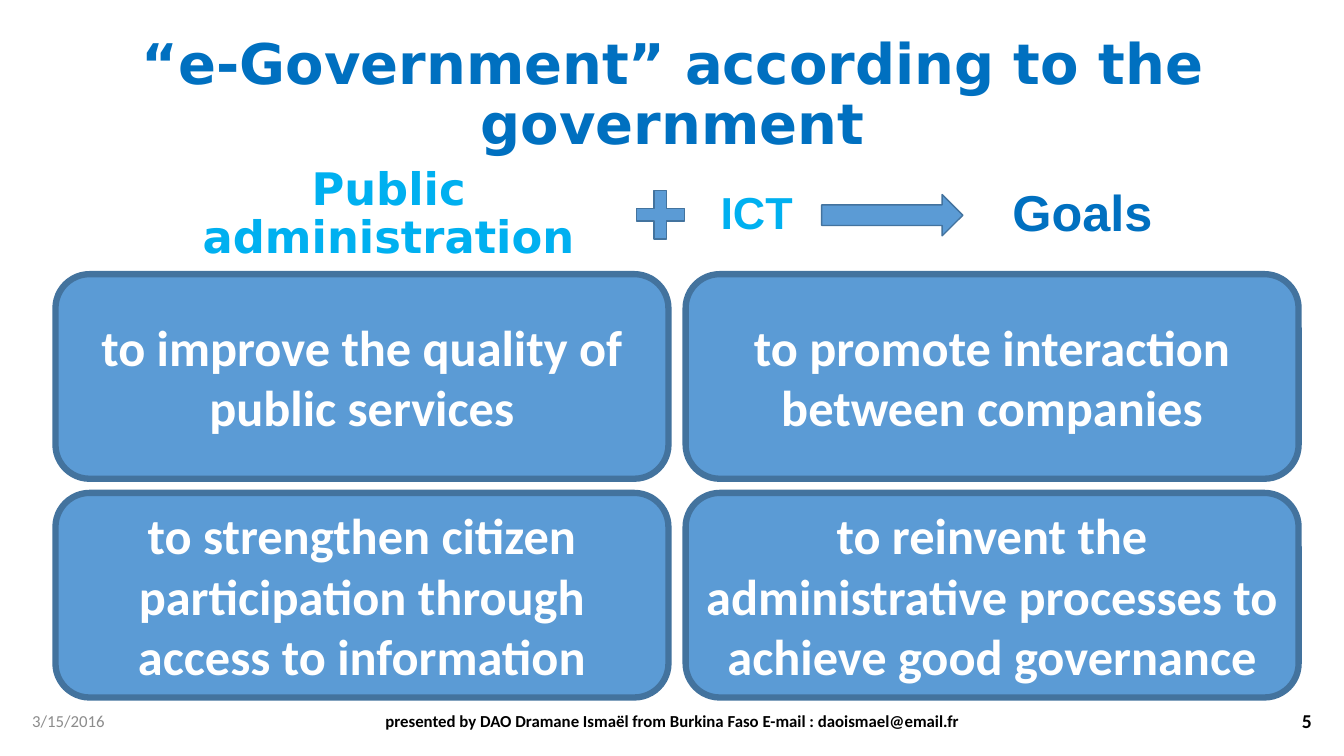
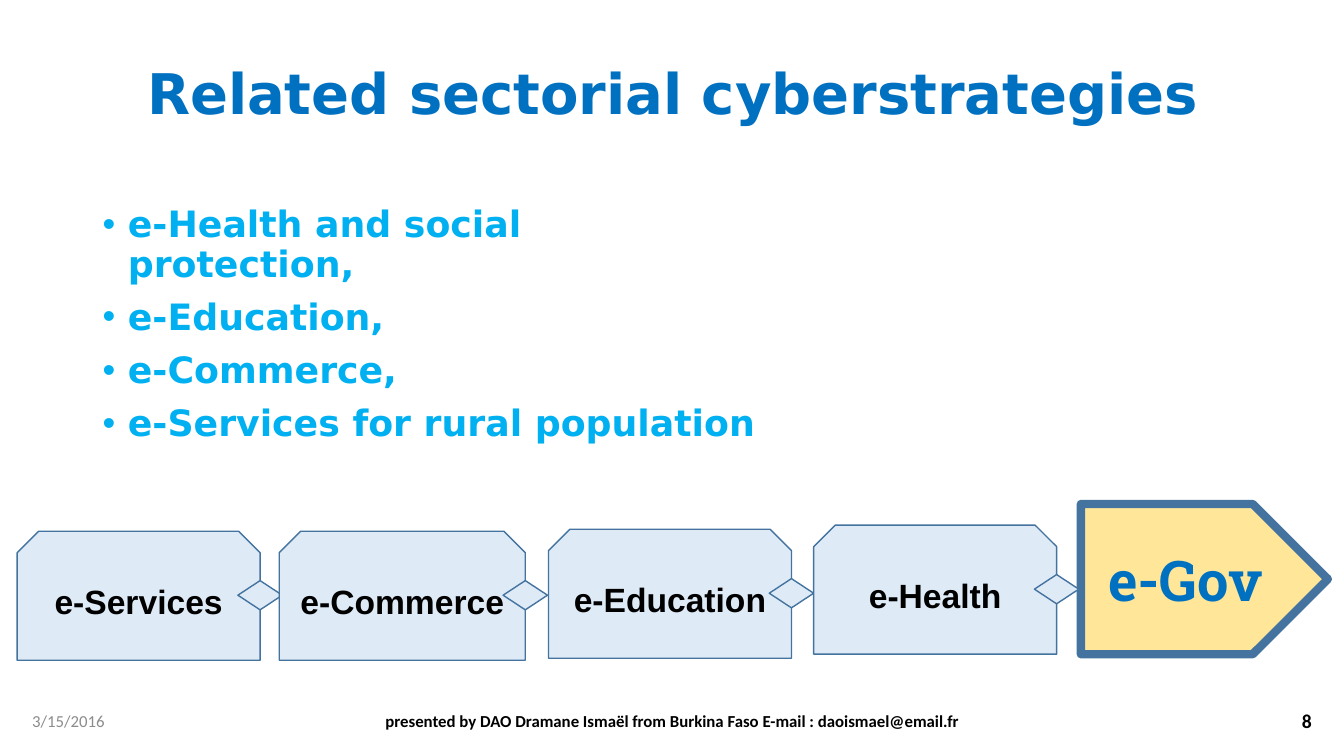
from dataclasses import dataclass, replace

from lxml.etree import SubElement
from pptx import Presentation
from pptx.dml.color import RGBColor
from pptx.enum.shapes import MSO_SHAPE
from pptx.enum.text import MSO_ANCHOR, MSO_AUTO_SIZE, PP_ALIGN
from pptx.oxml.ns import qn
from pptx.util import Inches, Pt

DEEP_BLUE = "0070C0"
SKY_BLUE = "00B0F0"
MID_BLUE = "5B9BD5"
EDGE_BLUE = "43739E"
PALE_BLUE = "DEEBF7"
SAND = "FFE699"
WHITE = "FFFFFF"
BLACK = "000000"
GREY = "8C8C8C"

PRESENTER = "presented by DAO Dramane Ismaël from Burkina Faso E-mail : daoismael@email.fr"
DATE = "3/15/2016"


@dataclass(frozen=True)
class Box:
    left: float
    top: float
    width: float
    height: float

    def lengths(self):
        return [Inches(side) for side in (self.left, self.top, self.width, self.height)]


@dataclass(frozen=True)
class TextStyle:
    size: float
    font: str
    color: str
    bold: bool = True
    align: PP_ALIGN = PP_ALIGN.CENTER
    anchor: MSO_ANCHOR = MSO_ANCHOR.MIDDLE
    spacing: float = 1.0
    before: float = 0
    bulleted: bool = False


@dataclass(frozen=True)
class Look:
    fill: str
    line_width: float


@dataclass(frozen=True)
class Sector:
    label: str
    left: float
    top: float
    width: float = 2.41


TITLE = TextStyle(40, "DejaVu Sans", DEEP_BLUE, spacing=0.9)
EQUATION = TextStyle(32, "Arial", SKY_BLUE, spacing=0.9, before=10)
ADMINISTRATION = replace(EQUATION, font="DejaVu Sans")
GOALS_HEADING = replace(EQUATION, size=36, color=DEEP_BLUE)
STRATEGY = replace(ADMINISTRATION, size=25.9, align=PP_ALIGN.LEFT,
                   anchor=MSO_ANCHOR.TOP, bulleted=True)
GOAL = TextStyle(36, "Calibri", WHITE)
SECTOR = TextStyle(24, "Arial", BLACK)
E_GOV = TextStyle(40, "Roboto Slab", DEEP_BLUE)
FOOTER = TextStyle(12, "Calibri", BLACK)
DATE_STYLE = replace(FOOTER, color=GREY, bold=False, align=PP_ALIGN.LEFT)
NUMBER_STYLE = replace(FOOTER, size=14, align=PP_ALIGN.RIGHT)

SYMBOL_LOOK = Look(MID_BLUE, 1)
GOAL_LOOK = Look(MID_BLUE, 4.5)
SECTOR_LOOK = Look(PALE_BLUE, 1)
E_GOV_LOOK = Look(SAND, 6)

TITLE_BOX = Box(0.92, 0.23, 11.5, 1.45)
FOOTER_TOP, FOOTER_HEIGHT = 6.95, 0.4

GOALS = [
    "to improve the quality of public services",
    "to promote interaction between companies",
    "to strengthen citizen participation through access to information",
    "to reinvent the administrative processes to achieve good governance",
]
STRATEGIES = [
    "e-Health and social protection,",
    "e-Education,",
    "e-Commerce,",
    "e-Services for rural population",
]
SECTORS = [
    Sector("e-Services", 0.17, 5.27),
    Sector("e-Commerce", 2.77, 5.27, 2.44),
    Sector("e-Education", 5.44, 5.25),
    Sector("e-Health", 8.07, 5.21),
]


def rgb(color: str) -> RGBColor:
    return RGBColor.from_string(color)


def add_bullet(paragraph) -> None:
    properties = paragraph._p.get_or_add_pPr()
    properties.set("marL", str(Inches(0.25)))
    properties.set("indent", str(Inches(-0.25)))
    SubElement(properties, qn("a:buFont")).set("typeface", "Arial")
    SubElement(properties, qn("a:buChar")).set("char", "•")


def write(frame, lines: list[str], style: TextStyle) -> None:
    frame.word_wrap = True
    frame.auto_size = MSO_AUTO_SIZE.NONE
    frame.vertical_anchor = style.anchor
    for index, line in enumerate(lines):
        paragraph = frame.add_paragraph() if index else frame.paragraphs[0]
        paragraph.alignment = style.align
        paragraph.line_spacing = style.spacing
        paragraph.space_before = Pt(style.before)
        if style.bulleted:
            add_bullet(paragraph)
        run = paragraph.add_run()
        run.text = line
        run.font.size = Pt(style.size)
        run.font.name = style.font
        run.font.bold = style.bold
        run.font.color.rgb = rgb(style.color)


def add_text(slide, box: Box, lines: list[str], style: TextStyle) -> None:
    write(slide.shapes.add_textbox(*box.lengths()).text_frame, lines, style)


def add_figure(shapes, kind: MSO_SHAPE, box: Box, look: Look,
               label: str = "", style: TextStyle = GOAL):
    figure = shapes.add_shape(kind, *box.lengths())
    figure.shadow.inherit = False
    figure.fill.solid()
    figure.fill.fore_color.rgb = rgb(look.fill)
    figure.line.color.rgb = rgb(EDGE_BLUE)
    figure.line.width = Pt(look.line_width)
    if label:
        write(figure.text_frame, [label], style)
    return figure


def start_slide(deck, title: str, number: int):
    slide = deck.slides.add_slide(deck.slide_layouts.get_by_name("Title Only"))
    heading = slide.shapes.title
    heading.left, heading.top, heading.width, heading.height = TITLE_BOX.lengths()
    write(heading.text_frame, [title], TITLE)
    for left, width, text, style in (
        (0.22, 3, DATE, DATE_STYLE),
        (3.43, 6.48, PRESENTER, FOOTER),
        (10.11, 3, str(number), NUMBER_STYLE),
    ):
        add_text(slide, Box(left, FOOTER_TOP, width, FOOTER_HEIGHT), [text], style)
    return slide


def add_sector(slide, sector: Sector) -> None:
    link = slide.shapes.add_group_shape()
    card = Box(sector.left, sector.top, sector.width, 1.28)
    joint = Box(sector.left + sector.width - 0.22, sector.top + 0.49, 0.44, 0.29)
    add_figure(link.shapes, MSO_SHAPE.SNIP_2_SAME_RECTANGLE, card,
               SECTOR_LOOK, sector.label, SECTOR)
    add_figure(link.shapes, MSO_SHAPE.DIAMOND, joint, SECTOR_LOOK)


def build_government_slide(deck) -> None:
    slide = start_slide(deck, "“e-Government” according to the government", 5)
    add_text(slide, Box(1.22, 1.88, 5.27, 0.51), ["Public administration"], ADMINISTRATION)
    plus = add_figure(slide.shapes, MSO_SHAPE.CROSS, Box(6.31, 1.89, 0.48, 0.48), SYMBOL_LOOK)
    plus.adjustments[0] = 0.37
    add_text(slide, Box(6.96, 1.96, 1.09, 0.34), ["ICT"], EQUATION)
    add_figure(slide.shapes, MSO_SHAPE.RIGHT_ARROW, Box(8.15, 1.93, 1.4, 0.41), SYMBOL_LOOK)
    add_text(slide, Box(9.54, 1.72, 2.39, 0.82), ["Goals"], GOALS_HEADING)
    for index, goal in enumerate(GOALS):
        row, column = divmod(index, 2)
        box = Box(0.55 + column * 6.25, 2.72 + row * 2.17, 6.08, 2.03)
        add_figure(slide.shapes, MSO_SHAPE.ROUNDED_RECTANGLE, box, GOAL_LOOK, goal, GOAL)


def build_strategies_slide(deck) -> None:
    slide = start_slide(deck, "Related sectorial cyberstrategies", 8)
    add_text(slide, Box(0.92, 2, 6.68, 2.75), STRATEGIES, STRATEGY)
    add_figure(slide.shapes, MSO_SHAPE.PENTAGON, Box(10.72, 5, 2.45, 1.49),
               E_GOV_LOOK, "e-Gov", E_GOV)
    for sector in SECTORS:
        add_sector(slide, sector)


def main() -> None:
    deck = Presentation()
    deck.slide_width, deck.slide_height = Inches(13.33), Inches(7.5)
    build_government_slide(deck)
    build_strategies_slide(deck)
    deck.save("out.pptx")


if __name__ == "__main__":
    main()
